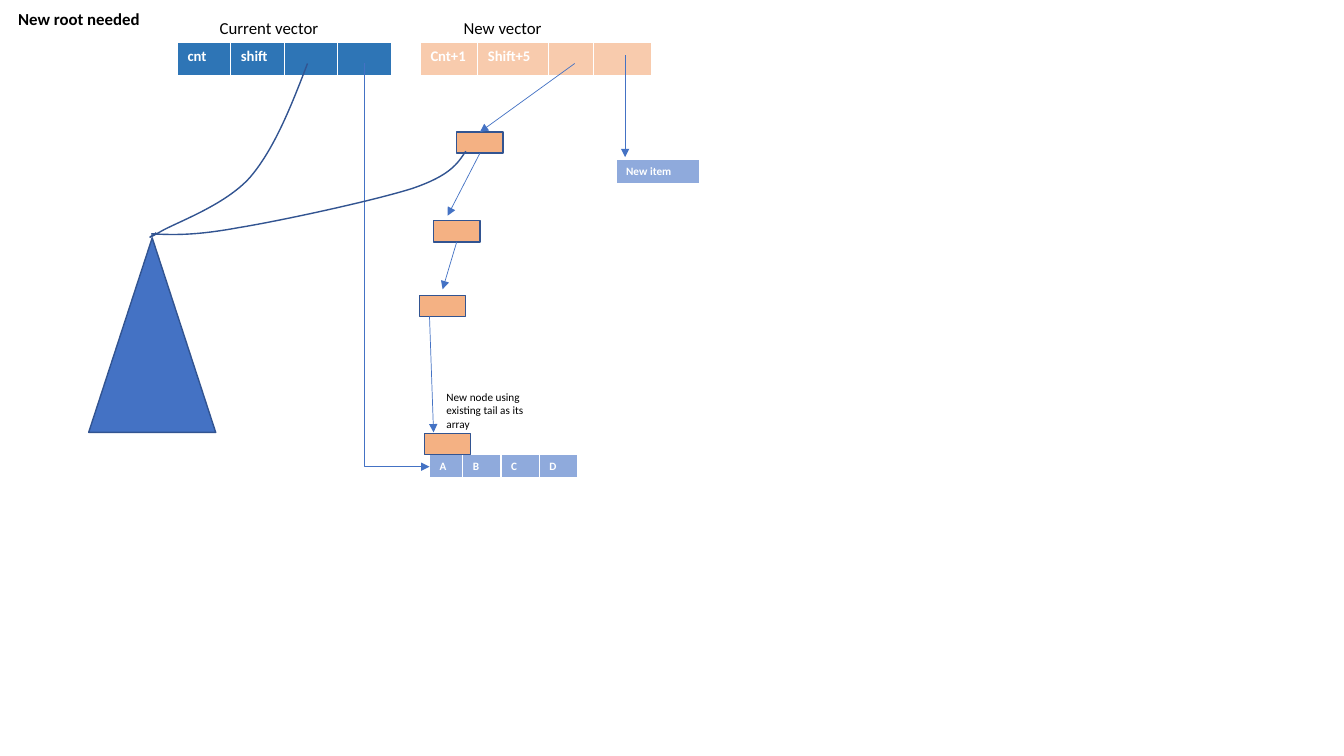
from dataclasses import dataclass
from typing import Any, Optional

from pptx import Presentation
from pptx.dml.color import RGBColor
from pptx.enum.shapes import MSO_CONNECTOR as Link, MSO_SHAPE as Preset
from pptx.enum.text import MSO_ANCHOR as Anchor, MSO_AUTO_SIZE as AutoSize, PP_ALIGN as Align
from pptx.oxml import parse_xml
from pptx.oxml.ns import nsdecls, qn
from pptx.oxml.xmlchemy import OxmlElement
from pptx.util import Inches, Pt

FONT = "Calibri"
BLACK, WHITE = "000000", "FFFFFF"
BLUE, OUTLINE, NODE_FILL = "4472C4", "325491", "F4B183"
CURRENT_FILL, NEW_FILL, ITEM_FILL = "2E75B6", "F8CBAD", "8FAADC"
NODE_SIZE = (0.46, 0.21)
BORDERS = {"a:lnL": 1, "a:lnR": 1, "a:lnT": 1, "a:lnB": 3}

Point = tuple[float, float]


@dataclass
class Array:
    left: float
    top: float
    height: float
    widths: list[float]
    texts: list[str]
    fill: str
    size: float


@dataclass
class Label:
    text: str
    box: tuple[float, float, float, float]
    size: float = 12
    wrap: bool = False


@dataclass
class Arrow:
    start: Point
    end: Point
    from_node: Optional[int] = None
    to_node: Optional[int] = None


ARRAYS = [
    Array(1.76, 0.42, 0.34, [0.53] * 4, ["cnt", "shift", "", ""], CURRENT_FILL, 10.5),
    Array(4.17, 0.42, 0.34, [0.57, 0.7, 0.45, 0.57], ["Cnt+1", "Shift+5", "", ""], NEW_FILL, 10.5),
    Array(4.26, 4.51, 0.23, [0.33, 0.38, 0.38, 0.38], list("ABCD"), ITEM_FILL, 8),
    Array(6.11, 1.58, 0.25, [0.83], ["New item"], ITEM_FILL, 8),
]
LABELS = [
    Label("Current vector", (2.08, 0.13, 1.19, 0.3)),
    Label("New vector", (4.5, 0.13, 0.99, 0.3)),
    Label("New node using existing tail as its array", (4.33, 3.82, 1.13, 0.5), 8, True),
]
NODES = [(4.53, 1.31), (4.3, 2.19), (4.16, 2.93), (4.21, 4.3)]
ARROWS = [
    Arrow((6.2, 0.55), (6.2, 1.56)),
    Arrow((5.7, 0.63), (4.76, 1.31), to_node=0),
    Arrow((4.76, 1.51), (4.44, 2.14), from_node=0),
    Arrow((4.53, 2.4), (4.39, 2.87), from_node=1),
    Arrow((4.26, 3.14), (4.3, 4.29)),
]
# Each curve is a start point followed by Bézier triples.
CURVES = [
    [(3.05, 0.63), (2.89, 1.05), (2.72, 1.48), (2.48, 1.76), (2.23, 2.04),
     (1.74, 2.21), (1.59, 2.3), (1.43, 2.39), (1.49, 2.35), (1.55, 2.31)],
    [(4.62, 1.5), (4.54, 1.62), (4.47, 1.74), (4.09, 1.87), (3.71, 1.99),
     (2.79, 2.19), (2.36, 2.26), (1.92, 2.34), (1.71, 2.33), (1.5, 2.32)],
]


def colour(value: str) -> RGBColor:
    return RGBColor.from_string(value)


def apply(target: Any, values: dict[str, Any]) -> None:
    for name, value in values.items():
        setattr(target, name, value)


def write(frame: Any, text: str, size: float, fill: str, bold: bool = False) -> None:
    span = frame.paragraphs[0].add_run()
    span.text = text
    apply(span.font, {"name": FONT, "size": Pt(size), "bold": bold})
    span.font.color.rgb = colour(fill)


def add_array(shapes: Any, array: Array) -> None:
    frame = shapes.add_table(1, len(array.widths), Inches(array.left), Inches(array.top),
                             Inches(sum(array.widths)), Inches(array.height))
    table = frame.table
    table.horz_banding = False
    table.rows[0].height = Inches(array.height)
    for column, width, cell, text in zip(table.columns, array.widths,
                                         table.rows[0].cells, array.texts):
        column.width = Inches(width)
        for tag, points in BORDERS.items():
            cell._tc.get_or_add_tcPr().append(parse_xml(
                f'<{tag} {nsdecls("a")} w="{Pt(points)}"><a:solidFill>'
                f'<a:srgbClr val="{WHITE}"/></a:solidFill></{tag}>'))
        cell.fill.solid()
        cell.fill.fore_color.rgb = colour(array.fill)
        if text:
            write(cell.text_frame, text, array.size, WHITE, True)
        else:
            ending = OxmlElement("a:endParaRPr")
            ending.set("sz", str(int(array.size * 100)))
            cell.text_frame.paragraphs[0]._p.append(ending)


def add_label(shapes: Any, label: Label) -> None:
    box = shapes.add_textbox(*map(Inches, label.box))
    box.text_frame.word_wrap = label.wrap
    write(box.text_frame, label.text, label.size, BLACK)


def outline(shape: Any) -> None:
    shape.shadow.inherit = False
    shape.line.color.rgb = colour(OUTLINE)
    shape.line.width = Pt(1)


def add_filled(shapes: Any, preset: Preset, corner: Point, size: Point, fill: str) -> Any:
    shape = shapes.add_shape(preset, *map(Inches, corner + size))
    shape.fill.solid()
    shape.fill.fore_color.rgb = colour(fill)
    outline(shape)
    return shape


def add_curve(shapes: Any, points: list[Point]) -> None:
    """Draw a smooth open curve by grouping straight segments into Bézier triples."""
    start, *rest = [(Inches(x), Inches(y)) for x, y in points]
    builder = shapes.build_freeform(*start)
    builder.add_line_segments(rest, close=False)
    shape = builder.convert_to_shape()
    shape.fill.background()
    outline(shape)
    track = shape._element.find(".//" + qn("a:path"))
    segments = track.findall(qn("a:lnTo"))
    for first in range(0, len(segments), 3):
        bezier = OxmlElement("a:cubicBezTo")
        for segment in segments[first:first + 3]:
            bezier.append(segment[0])
            track.remove(segment)
        track.append(bezier)


def add_arrow(shapes: Any, start: Point, end: Point, kind: Link = Link.STRAIGHT) -> Any:
    arrow = shapes.add_connector(kind, *map(Inches, start + end))
    arrow.line.color.rgb = colour(BLUE)
    arrow.line.width = Pt(0.5)
    head = OxmlElement("a:tailEnd")
    head.set("type", "triangle")
    arrow.line._get_or_add_ln().append(head)
    arrow._element.spPr.append(OxmlElement("a:effectLst"))
    return arrow


def add_tail_arrow(shapes: Any) -> None:
    """Draw the one-bend arrow, down and then right, as a turned elbow."""
    arrow = add_arrow(shapes, (5.94, 2.3), (1.93, 2.95), Link.ELBOW)
    properties = arrow._element.spPr
    properties.find(qn("a:xfrm")).set("rot", str(270 * 60000))
    properties.find(qn("a:prstGeom")).set("prst", "bentConnector2")


def set_title(title: Any, text: str) -> None:
    apply(title, {"left": Inches(0.08), "top": Inches(0.04),
                  "width": Inches(1.48), "height": Inches(0.3)})
    apply(title.text_frame, {"auto_size": AutoSize.NONE, "word_wrap": True,
                             "vertical_anchor": Anchor.TOP})
    write(title.text_frame, text, 12, BLACK, True)
    title.text_frame.paragraphs[0].alignment = Align.LEFT


def main() -> None:
    deck = Presentation()
    apply(deck, {"slide_width": Inches(13.33), "slide_height": Inches(7.5)})
    page = deck.slides.add_slide(deck.slide_layouts.get_by_name("Title Only"))
    shapes = page.shapes
    set_title(shapes.title, "New root needed")
    for array in ARRAYS:
        add_array(shapes, array)
    add_filled(shapes, Preset.ISOSCELES_TRIANGLE, (0.88, 2.36), (1.26, 1.93), BLUE)
    add_tail_arrow(shapes)
    nodes = [add_filled(shapes, Preset.RECTANGLE, corner, NODE_SIZE, NODE_FILL) for corner in NODES]
    for points in CURVES:
        add_curve(shapes, points)
    for item in ARROWS:
        arrow = add_arrow(shapes, item.start, item.end)
        if item.from_node is not None:
            arrow.begin_connect(nodes[item.from_node], 2)
        if item.to_node is not None:
            arrow.end_connect(nodes[item.to_node], 0)
    for label in LABELS:
        add_label(shapes, label)
    deck.save("out.pptx")


if __name__ == "__main__":
    main()
